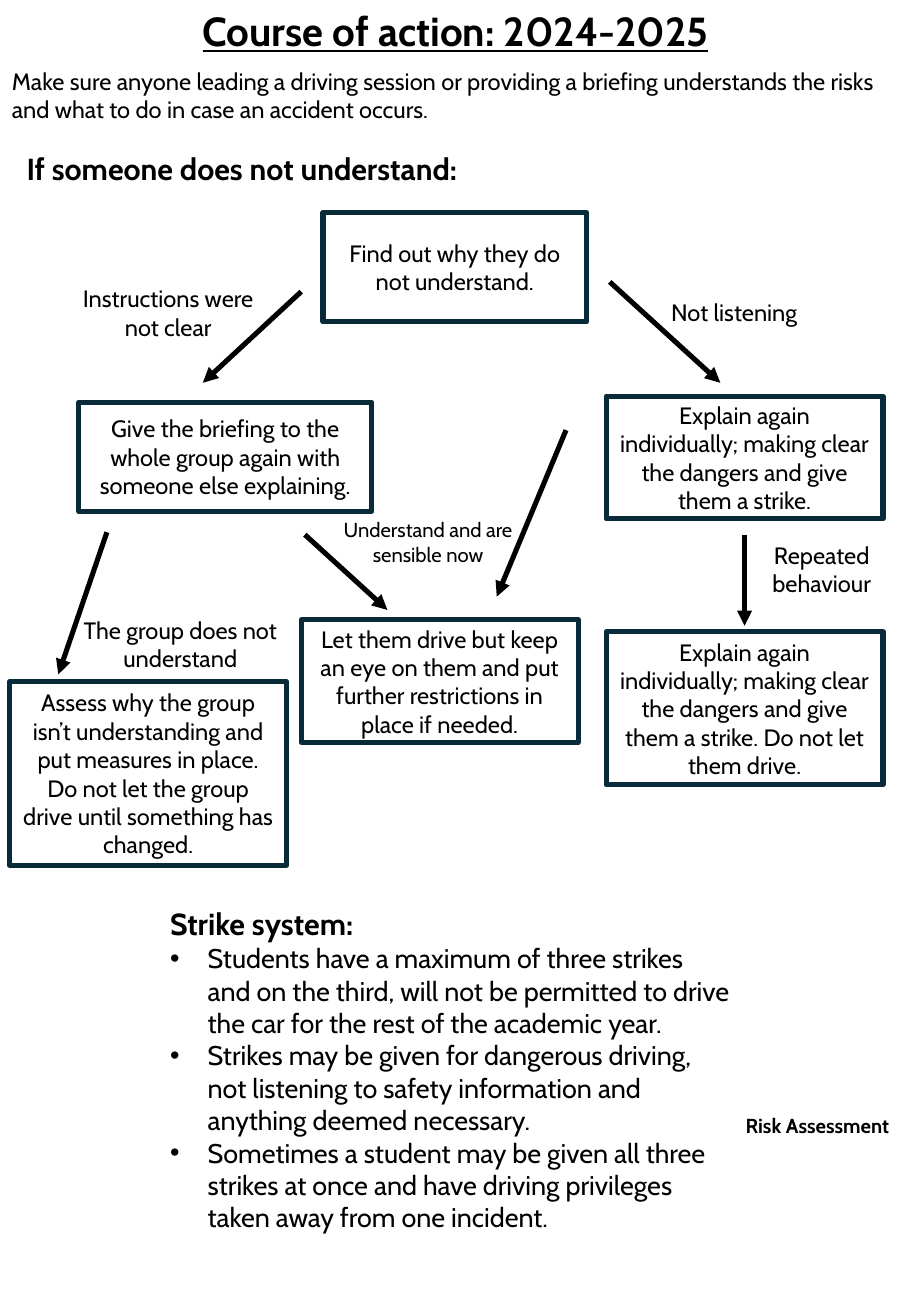
from lxml import etree
from pptx import Presentation
from pptx import util as u
from pptx.dml import color
from pptx.enum import shapes, text
from pptx.oxml import ns

hue = color.RGBColor.from_string
LEFT, CENTER = text.PP_ALIGN.LEFT, text.PP_ALIGN.CENTER
TOP, MIDDLE = text.MSO_ANCHOR.TOP, text.MSO_ANCHOR.MIDDLE
INK, NAVY = "000000", "092A39"

deck = Presentation()
deck.slide_width, deck.slide_height = u.Inches(7.5), u.Inches(10.83)
page = deck.slides.add_slide(deck.slide_layouts[1])
cell = deck.slide_width / 75


def grid(*cells):
    return [u.Emu(round(cell * count)) for count in cells]


def write(box, words, size, align=CENTER, anchor=TOP, **style):
    frame = box.text_frame
    frame.word_wrap = True
    frame.auto_size = text.MSO_AUTO_SIZE.NONE
    frame.vertical_anchor = anchor
    frame.text = words
    for para in frame.paragraphs:
        para.alignment = align
        para.space_before = u.Pt(0)
        for span in para.runs:
            look = {"name": "Cabin", "size": u.Pt(size), "bold": False, **style}
            for key, value in look.items():
                setattr(span.font, key, value)
            span.font.color.rgb = hue(INK)


title, body = page.placeholders
title.left, title.top, title.width, title.height = grid(0, 0, 75, 5)
write(title, "Course of action: 2024-2025", 24, bold=True, underline=True)

labels = [
    ((0, 5, 75, 5.7), "Make sure anyone leading a driving session or providing a briefing "
     "understands the risks and what to do in case an accident occurs.", 14, LEFT, False),
    ((1.2, 11.9, 72.5, 10.1), "If someone does not understand:", 18, LEFT, True),
    ((4.8, 22.9, 18.1, 5.7), "Instructions were not clear", 14, CENTER, False),
    ((51.4, 24, 18.1, 3.4), "Not listening", 14, CENTER, False),
    ((58.6, 44, 18.1, 5.7), "Repeated behaviour", 14, CENTER, False),
    ((26.2, 42.1, 18.1, 5), "Understand and are sensible now", 12, CENTER, False),
    ((5.8, 50.2, 18.1, 5.7), "The group does not understand", 14, CENTER, False),
    ((60.4, 91.1, 23.5, 3), "Risk Assessment", 12, LEFT, True),
]
for place, words, size, align, bold in labels:
    box = page.shapes.add_textbox(*grid(*place))
    write(box, words, size, align, bold=bold)

explain = "Explain again individually; making clear the dangers and give them a strike."
steps = [
    ((26.6, 17.5, 21.7, 9), "Find out why they do not understand."),
    ((6.5, 33.1, 24.1, 9), "Give the briefing to the whole group again with someone else explaining."),
    ((49.9, 32.6, 22.8, 10.1), explain),
    ((24.8, 51, 22.8, 10.1), "Let them drive but keep an eye on them and put further restrictions "
     "in place if needed."),
    ((49.9, 52, 22.8, 12.6), explain + " Do not let them drive."),
    ((0.8, 56.1, 22.8, 15.1), "Assess why the group isn’t understanding and put measures in place. "
     "Do not let the group drive until something has changed."),
]
for place, words in steps:
    box = page.shapes.add_shape(shapes.MSO_SHAPE.RECTANGLE, *grid(*place))
    box.shadow.inherit = False
    box.fill.background()
    box.line.color.rgb = hue(NAVY)
    box.line.width = u.Pt(3)
    write(box, words, 14, anchor=MIDDLE)

arrows = [
    (24.8, 24, 16.7, 31.5),
    (50.2, 23.2, 59.3, 31.5),
    (61.3, 44, 61.3, 51.5),
    (46.6, 35.4, 40.9, 49.1),
    (8.8, 43.8, 4.8, 55.5),
    (25.1, 44, 31.9, 50.2),
]
for ends in arrows:
    arrow = page.shapes.add_connector(shapes.MSO_CONNECTOR.STRAIGHT, *grid(*ends))
    arrow.line.color.rgb = hue(INK)
    arrow.line.width = u.Pt(3)
    etree.SubElement(arrow.line._get_or_add_ln(), ns.qn("a:tailEnd"), type="triangle")
    etree.SubElement(arrow._element.spPr, ns.qn("a:effectLst"))

strikes = [
    "Strike system:",
    "Students have a maximum of three strikes and on the third, will not be permitted "
    "to drive the car for the rest of the academic year.",
    "Strikes may be given for dangerous driving, not listening to safety information "
    "and anything deemed necessary.",
    "Sometimes a student may be given all three strikes at once and have driving "
    "privileges taken away from one incident.",
]
body.left, body.top, body.width, body.height = grid(13, 74, 48.3, 31)
write(body, "\n".join(strikes), 16, LEFT)
heading, *rules = body.text_frame.paragraphs
heading.runs[0].font.size = u.Pt(18)
heading.runs[0].font.bold = True
for para, indent in [(heading, 0), *((rule, u.Inches(0.31)) for rule in rules)]:
    props = para._p.get_or_add_pPr()
    props.set("marL", str(indent))
    props.set("indent", str(-indent))
    if indent:
        etree.SubElement(props, ns.qn("a:buFont"), typeface="Arial")
        etree.SubElement(props, ns.qn("a:buChar"), char="•")
    else:
        etree.SubElement(props, ns.qn("a:buNone"))

deck.save("out.pptx")
